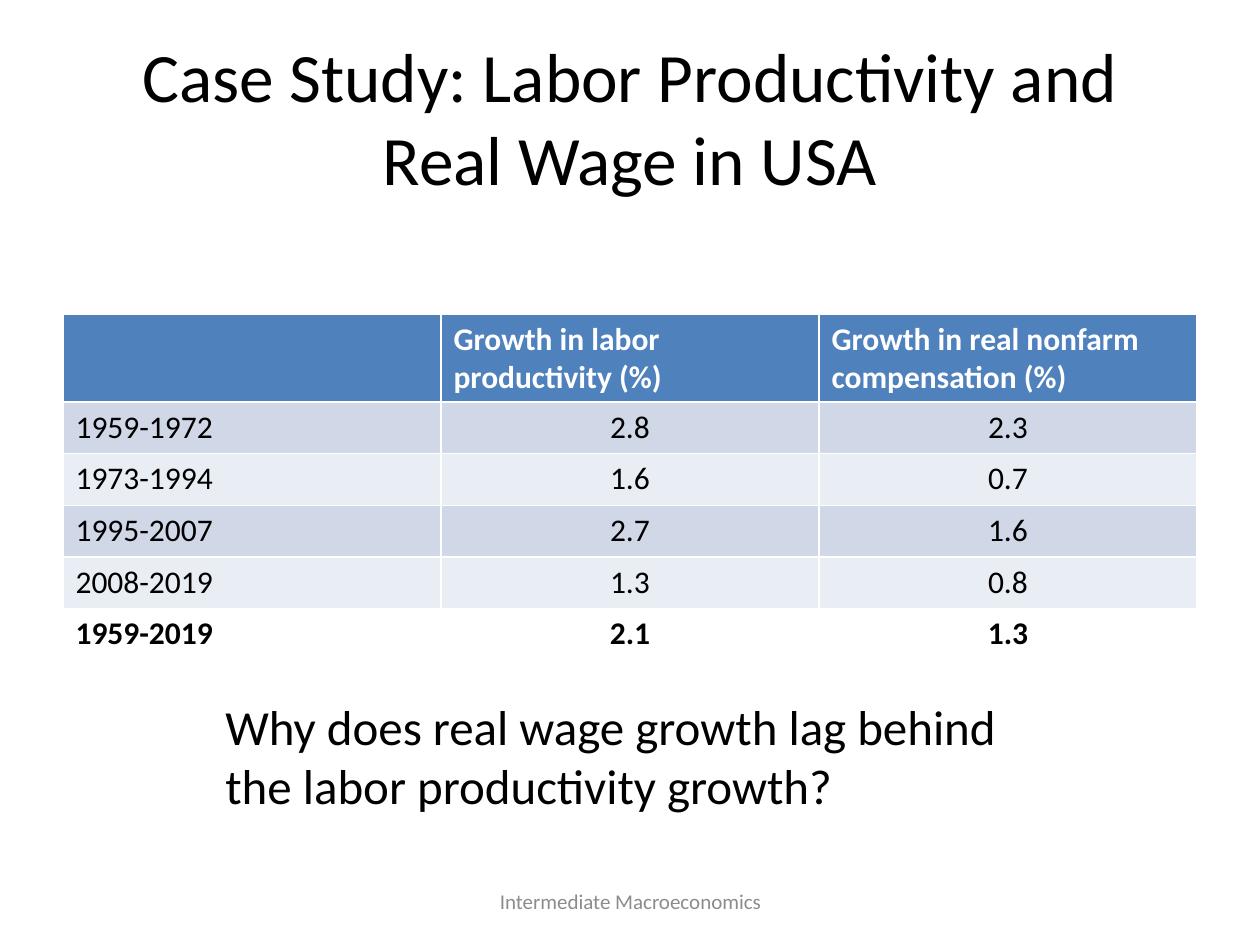
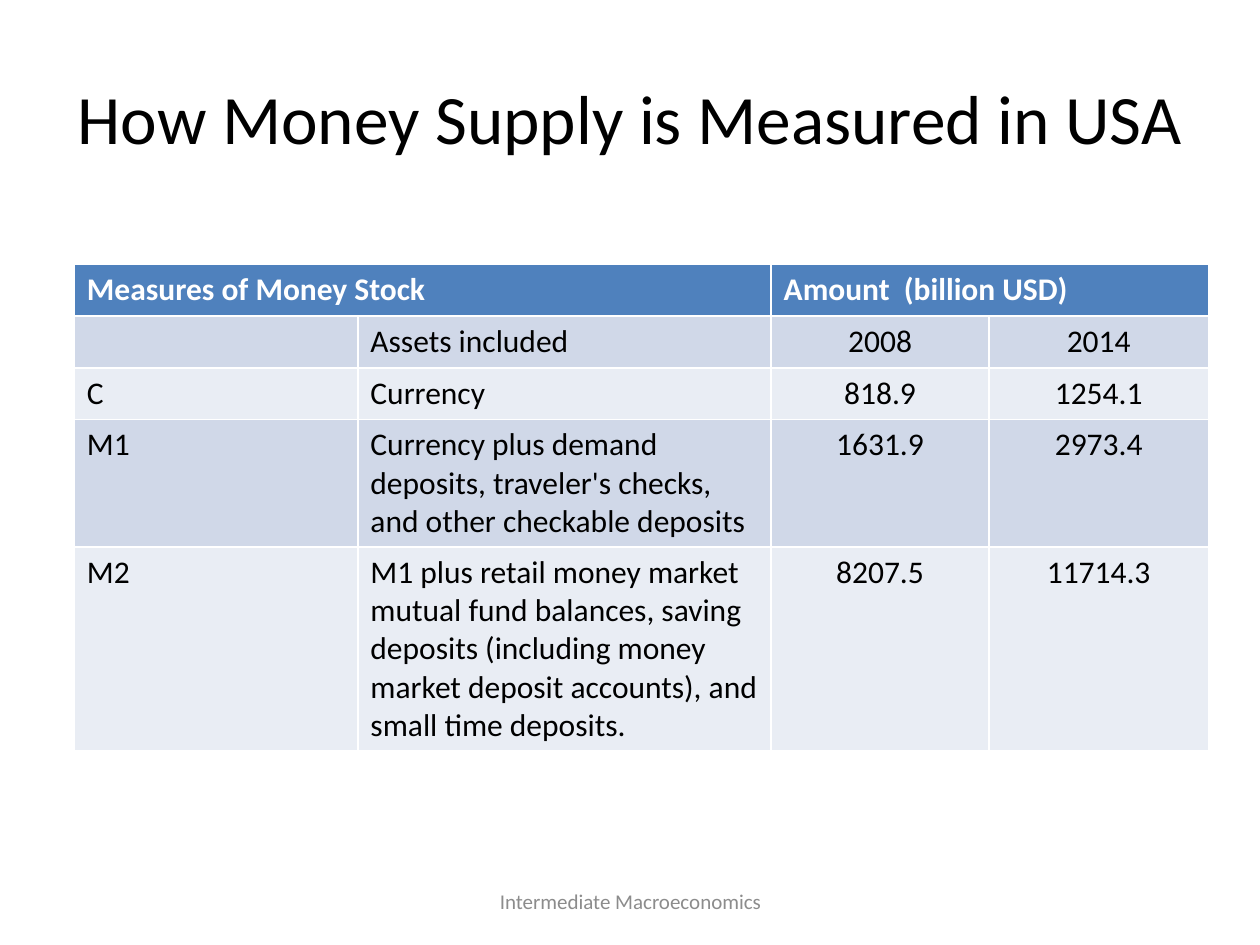
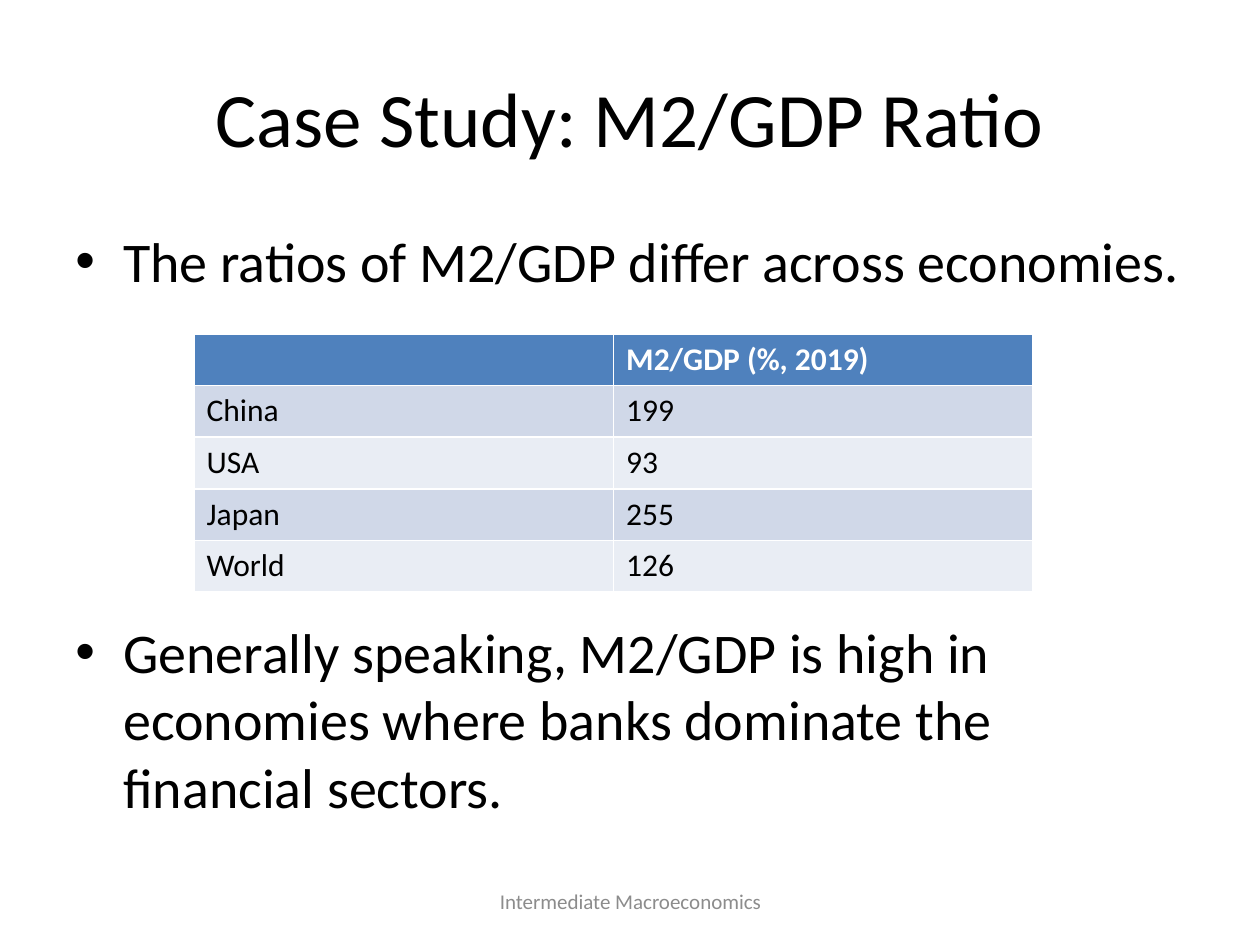
from pptx import Presentation
from pptx.dml.color import RGBColor
from pptx.enum.text import MSO_ANCHOR, PP_ALIGN
from pptx.oxml.ns import qn
from pptx.util import Inches, Pt
from lxml import etree

# Shared style
FONT = "Calibri"
BLACK = RGBColor(0x00, 0x00, 0x00)
WHITE = RGBColor(0xFF, 0xFF, 0xFF)
GREY = RGBColor(0x8C, 0x8C, 0x8C)
HEADER_BLUE = RGBColor(0x4F, 0x81, 0xBD)
BANDS = (RGBColor(0xD0, 0xD8, 0xE8), RGBColor(0xE9, 0xED, 0xF4))
LEFT, CENTER = PP_ALIGN.LEFT, PP_ALIGN.CENTER
TOP, MIDDLE = MSO_ANCHOR.TOP, MSO_ANCHOR.MIDDLE
FOOTER = "Intermediate Macroeconomics"
ROW_HEIGHT = 0.41
BULLET_INDENT = 0.38


class SlideWriter:
    """Holds the deck style and the slide being written."""

    def __init__(self):
        self.deck = Presentation()
        self.deck.slide_width = Inches(10)
        self.deck.slide_height = Inches(7.5)
        self.page = None

    def new_page(self, title, title_size=39.6):
        self.page = self.deck.slides.add_slide(self.deck.slide_layouts[6])
        self.text(title, (0.5, 0.3, 9, 1.25), title_size, align=CENTER, anchor=MIDDLE)
        self.text(FOOTER, (3.42, 6.95, 3.17, 0.4), 12, GREY, CENTER, MIDDLE)

    def format_para(self, para, size, color, align=LEFT, bold=False):
        para.alignment = align
        for span in para.runs:
            span.font.name = FONT
            span.font.size = Pt(size)
            span.font.color.rgb = color
            span.font.bold = bold

    def text(self, words, place, size, color=BLACK, align=LEFT, anchor=TOP):
        box = self.page.shapes.add_textbox(*map(Inches, place))
        frame = box.text_frame
        frame.word_wrap = True
        frame.vertical_anchor = anchor
        frame.text = words
        for para in frame.paragraphs:
            self.format_para(para, size, color, align)
        return frame

    def bullets(self, items, place, size, gap):
        """Bulleted paragraphs with the given gap in points between them."""
        frame = self.text("\n".join(items), place, size)
        for index, para in enumerate(frame.paragraphs):
            if index:
                para.space_before = Pt(gap)
            properties = para._p.get_or_add_pPr()
            properties.set("marL", str(Inches(BULLET_INDENT)))
            properties.set("indent", str(-Inches(BULLET_INDENT)))
            etree.SubElement(properties, qn("a:buFont")).set("typeface", "Arial")
            etree.SubElement(properties, qn("a:buChar")).set("char", "•")

    def table(self, rows, left, top, widths, heights=None, centered=(),
              merges=(), total_row=False):
        """Banded table; merges lists (first, last) columns of the header."""
        heights = heights or [ROW_HEIGHT] * len(rows)
        table = self.page.shapes.add_table(
            len(rows), len(widths), Inches(left), Inches(top),
            Inches(sum(widths)), Inches(sum(heights))).table
        for column, width in zip(table.columns, widths):
            column.width = Inches(width)
        for row, height in zip(table.rows, heights):
            row.height = Inches(height)
        for r, values in enumerate(rows):
            header = r == 0
            total = total_row and r == len(rows) - 1
            fill = HEADER_BLUE if header else WHITE if total else BANDS[(r - 1) % 2]
            for c, value in enumerate(values):
                cell = table.cell(r, c)
                cell.fill.solid()
                cell.fill.fore_color.rgb = fill
                cell.text = value
                align = CENTER if c in centered and not header else LEFT
                self.format_para(cell.text_frame.paragraphs[0], 18,
                                 WHITE if header else BLACK, align, header or total)
        for first, last in merges:
            table.cell(0, first).merge(table.cell(0, last))


def main():
    writer = SlideWriter()

    # Productivity and wages
    writer.new_page("Case Study: Labor Productivity and Real Wage in USA")
    growth = [
        ("", "Growth in labor productivity (%)", "Growth in real nonfarm compensation (%)"),
        ("1959-1972", "2.8", "2.3"),
        ("1973-1994", "1.6", "0.7"),
        ("1995-2007", "2.7", "1.6"),
        ("2008-2019", "1.3", "0.8"),
        ("1959-2019", "2.1", "1.3"),
    ]
    writer.table(growth, 0.5, 2.49, [3] * 3, [0.7] + [ROW_HEIGHT] * 5,
                 centered=(1, 2), total_row=True)
    writer.text("Why does real wage growth lag behind the labor productivity growth?",
                (1.69, 5.48, 6.38, 1.04), 28)

    # Money supply measures
    writer.new_page("How Money Supply is Measured in USA")
    money = [
        ("Measures of Money Stock", "", "Amount  (billion USD)", ""),
        ("", "Assets included", "2008", "2014"),
        ("C", "Currency", "818.9", "1254.1"),
        ("M1", "Currency plus demand deposits, traveler's checks, "
               "and other checkable deposits", "1631.9", "2973.4"),
        ("M2", "M1 plus retail money market mutual fund balances, saving deposits "
               "(including money market deposit accounts), and small time deposits.",
         "8207.5", "11714.3"),
    ]
    writer.table(money, 0.59, 2.1, [2.25, 3.28, 1.73, 1.74],
                 [ROW_HEIGHT] * 3 + [1.01, 1.62],
                 centered=(2, 3), merges=((0, 1), (2, 3)))

    # Ratio by economy
    writer.new_page("Case Study: M2/GDP Ratio", 44)
    writer.bullets(["The ratios of M2/GDP differ across economies.",
                    "Generally speaking, M2/GDP is high in economies where banks "
                    "dominate the financial sectors."],
                   (0.5, 1.75, 9, 4.95), 32, gap=185)
    ratios = [("", "M2/GDP (%, 2019)"), ("China", "199"), ("USA", "93"),
              ("Japan", "255"), ("World", "126")]
    writer.table(ratios, 1.54, 2.65, [3.33] * 2)

    writer.deck.save("out.pptx")


if __name__ == "__main__":
    main()
